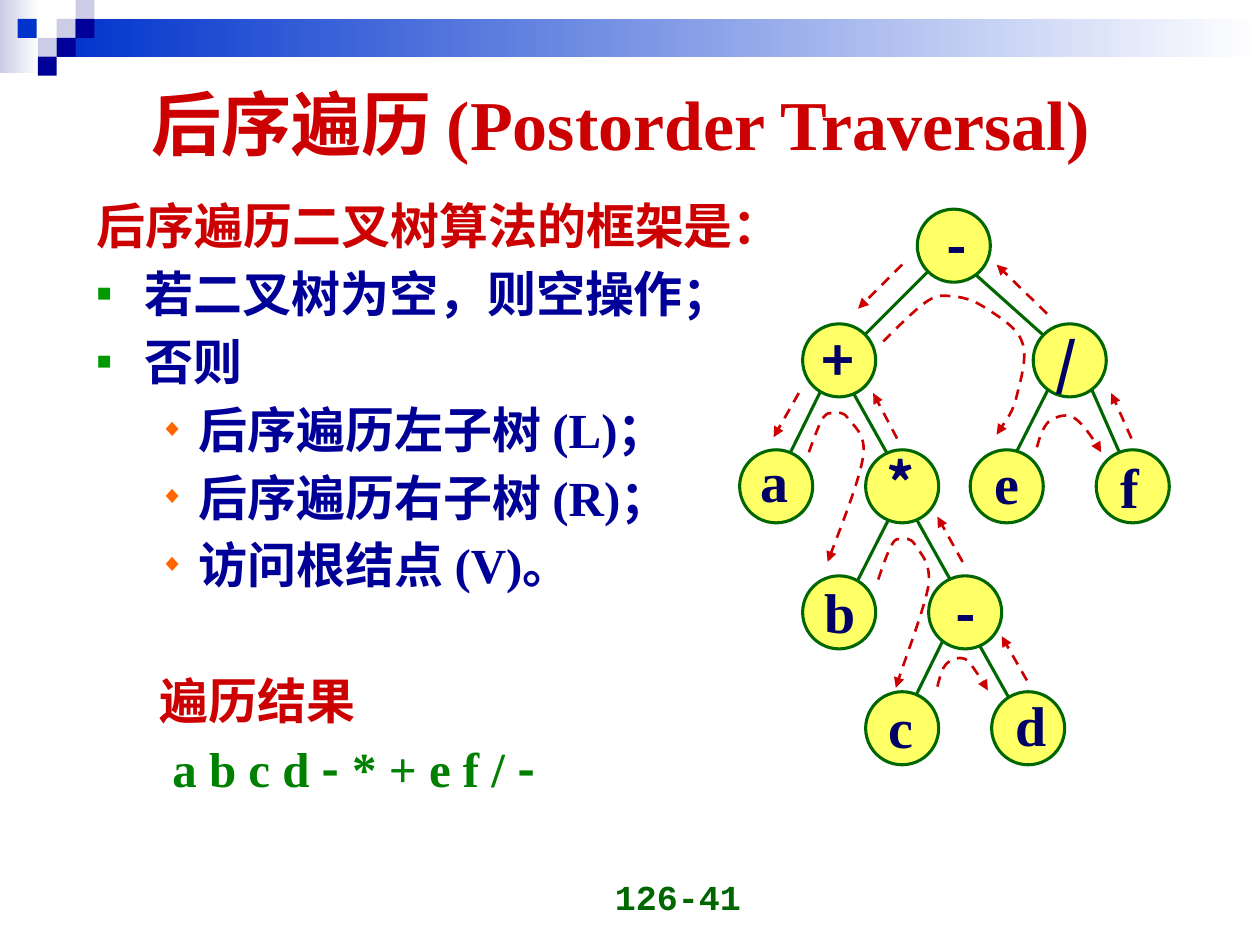
from typing import NamedTuple

from lxml import etree
from pptx import Presentation
from pptx import util as u
from pptx.dml.color import RGBColor
from pptx.enum import dml, shapes, text
from pptx.oxml.ns import qn

PX = u.Inches(1) // 100  # 100 px to the inch

RED = RGBColor(0xCC, 0x00, 0x00)
NAVY = RGBColor(0x00, 0x00, 0x99)
INK = RGBColor(0x00, 0x00, 0x66)
BLUE = RGBColor(0x00, 0x33, 0xCC)
LILAC = RGBColor(0xCC, 0xCC, 0xE6)
WHITE = RGBColor(0xFF, 0xFF, 0xFF)
YELLOW = RGBColor(0xFF, 0xFF, 0x66)
DARK_GREEN = RGBColor(0x00, 0x66, 0x00)
GREEN = RGBColor(0x00, 0x80, 0x00)
SQUARE_GREEN = RGBColor(0x00, 0x99, 0x00)
ORANGE = RGBColor(0xFF, 0x66, 0x00)

ARIAL, TIMES, CJK = "Arial", "Times New Roman", "Noto Sans CJK SC"
NODE_SIZE = 58


class Node(NamedTuple):
    label: str
    left: int
    top: int
    label_left: int
    label_top: int
    label_width: int


class Line(NamedTuple):
    runs: list[tuple[str, str]]  # wording and font
    color: RGBColor
    margin: int = 38
    indent: int = -38
    bullet: tuple[str, RGBColor] | None = None
    before: float = 3.5


SQUARE, DIAMOND = ("■", SQUARE_GREEN), ("◆", ORANGE)

FRAMEWORK = [
    Line([("后序遍历二叉树算法的框架是：", ARIAL)], RED, before=0),
    Line([("若二叉树为空，则空操作；", ARIAL)], NAVY, bullet=SQUARE),
    Line([("否则", ARIAL)], NAVY, bullet=SQUARE),
    *[Line([(step, TIMES)], NAVY, 81, -31, DIAMOND)
      for step in ("后序遍历左子树 (L)；", "后序遍历右子树 (R)；", "访问根结点 (V)。")],
    Line([("遍历结果", TIMES)], RED, 81, -31, before=42.4),
    Line([("a b c d ", TIMES), ("-", CJK), (" * + e f / ", TIMES), ("-", CJK)],
         GREEN, 81, -21),
]

NODES = [
    Node("-", 728, 166, 736, 162, 47),
    Node("+", 637, 257, 642, 253, 47),
    Node("/", 820, 257, 823, 255, 47),
    Node("a", 587, 357, 594, 349, 42),
    Node("*", 687, 357, 694, 351, 42),
    Node("e", 770, 357, 779, 351, 40),
    Node("f", 870, 357, 879, 354, 35),
    Node("b", 637, 457, 644, 453, 45),
    Node("-", 737, 457, 743, 454, 47),
    Node("c", 687, 549, 695, 544, 40),
    Node("d", 787, 549, 796, 543, 45),
]

EDGES = [
    (745, 207, 678, 274), (762, 207, 837, 274),
    (653, 307, 620, 374), (670, 299, 712, 374),
    (837, 299, 803, 366), (862, 299, 895, 374),
    (712, 399, 678, 466), (720, 399, 762, 474),
    (753, 499, 720, 566), (770, 499, 812, 574),
]

STEPS = [
    (716, 210, 681, 245), (634, 312, 614, 347), (898, 348, 882, 312),
    (831, 249, 791, 210), (815, 540, 795, 505), (764, 446, 744, 410),
    (712, 348, 693, 312),
]

# Bezier paths: a start, then two control points and an end for each piece
TURNS = [
    [(642, 359), (646, 348), (650, 337), (653, 332), (657, 327), (658, 328), (661, 328),
     (665, 328), (669, 326), (673, 332), (677, 338), (688, 344), (685, 363),
     (682, 382), (662, 432), (657, 446)],
    [(697, 460), (701, 448), (705, 437), (708, 432), (711, 427), (712, 428), (715, 428),
     (718, 428), (722, 426), (726, 432), (729, 438), (739, 445), (737, 464),
     (734, 482), (715, 532), (711, 546)],
    [(744, 545), (746, 537), (748, 530), (751, 527), (755, 523), (761, 521), (766, 523),
     (770, 525), (777, 537), (780, 541), (783, 545), (783, 547), (784, 548)],
    [(823, 355), (825, 347), (828, 339), (832, 335), (837, 331), (845, 328), (851, 331),
     (857, 333), (866, 346), (869, 351), (873, 356), (873, 358), (874, 359)],
    [(701, 271), (714, 258), (727, 245), (736, 239), (745, 233), (749, 235), (756, 235),
     (763, 236), (770, 237), (780, 243), (789, 249), (807, 259), (811, 271),
     (816, 282), (810, 302), (807, 314), (804, 327), (794, 340), (791, 345)],
]


def put(target, **values) -> None:
    for key, value in values.items():
        setattr(target, key, value)


def add_run(paragraph, wording: str, font: str, size: float, color: RGBColor) -> None:
    run = paragraph.add_run()
    run.text = wording
    put(run.font, name=font, size=u.Pt(size), bold=True)
    run.font.color.rgb = color
    latin = run.font._element.find(qn("a:latin"))
    east_asian = etree.Element(qn("a:ea"), typeface=CJK)
    latin.addnext(east_asian)


def add_box(slide, left: int, top: int, width: int, height: int, **frame_values):
    frame = slide.shapes.add_textbox(left * PX, top * PX, width * PX, height * PX).text_frame
    put(frame, **frame_values)
    return frame


def add_block(slide, left: int, top: int, width: int, height: int, *colors: RGBColor,
              kind=shapes.MSO_SHAPE.RECTANGLE):
    block = slide.shapes.add_shape(kind, left * PX, top * PX, width * PX, height * PX)
    block.shadow.inherit = False
    block.line.fill.background()
    if len(colors) == 1:
        block.fill.solid()
        block.fill.fore_color.rgb = colors[0]
    else:
        block.fill.gradient()
        block.fill.gradient_angle = 0
        for stop, color in zip(block.fill.gradient_stops, colors):
            stop.color.rgb = color
    return block


def draw_line(line, color: RGBColor, width: float) -> None:
    line.color.rgb = color
    line.width = u.Pt(width)


def make_arrow(shape) -> None:
    draw_line(shape.line, RED, 1.5)
    shape.line.dash_style = dml.MSO_LINE.DASH
    outline = shape._element.spPr.find(qn("a:ln"))
    etree.SubElement(outline, qn("a:tailEnd"), type="triangle")


def add_straight(slide, ends: tuple[int, int, int, int], arrow: bool) -> None:
    line = slide.shapes.add_connector(shapes.MSO_CONNECTOR.STRAIGHT, *[v * PX for v in ends])
    if arrow:
        make_arrow(line)
    else:
        draw_line(line.line, DARK_GREEN, 1.75)
    etree.SubElement(line._element.spPr, qn("a:effectLst"))


def add_turn(slide, points: list[tuple[int, int]]) -> None:
    builder = slide.shapes.build_freeform(*points[0], scale=PX)
    builder.add_line_segments(points[1:], close=False)
    turn = builder.convert_to_shape()
    turn.shadow.inherit = False
    turn.fill.background()
    make_arrow(turn)
    # Join each three segments into one cubic curve
    path = next(turn._element.iter(qn("a:path")))
    segments = path.findall(qn("a:lnTo"))
    for start in range(0, len(segments), 3):
        curve = etree.SubElement(path, qn("a:cubicBezTo"))
        for segment in segments[start:start + 3]:
            curve.append(segment[0])
            path.remove(segment)


def add_line_of_text(paragraph, line: Line) -> None:
    properties = paragraph._p.get_or_add_pPr()
    properties.set("marL", str(line.margin * PX))
    properties.set("indent", str(line.indent * PX))
    if line.bullet:
        mark, color = line.bullet
        tint = etree.SubElement(properties, qn("a:buClr"))
        etree.SubElement(tint, qn("a:srgbClr"), val=str(color))
        etree.SubElement(properties, qn("a:buSzPct"), val="50000")
        etree.SubElement(properties, qn("a:buFont"), typeface=ARIAL)
        etree.SubElement(properties, qn("a:buChar"), char=mark)
    put(paragraph, line_spacing=1.05, space_before=u.Pt(line.before))
    for wording, font in line.runs:
        add_run(paragraph, wording, font, 28, line.color)


def main() -> None:
    deck = Presentation()
    put(deck, slide_width=1000 * PX, slide_height=750 * PX)
    slide = deck.slides.add_slide(deck.slide_layouts[5])

    # Header band and checker squares
    add_block(slide, 0, 0, 31, 58, LILAC, WHITE)
    add_block(slide, 45, 15, 955, 30, BLUE, WHITE)
    for left, top, color in [(45, 15, LILAC), (60, 0, LILAC), (60, 15, NAVY), (30, 30, LILAC),
                             (14, 15, BLUE), (45, 30, NAVY), (30, 45, NAVY)]:
        add_block(slide, left, top, 15, 15, color)

    # Title
    title = slide.shapes.title
    put(title, left=87 * PX, top=40 * PX, width=811 * PX, height=114 * PX)
    put(title.text_frame, vertical_anchor=text.MSO_ANCHOR.MIDDLE, word_wrap=True)
    heading = title.text_frame.paragraphs[0]
    heading.alignment = text.PP_ALIGN.CENTER
    add_run(heading, "后序遍历 (Postorder Traversal)", TIMES, 40, RED)

    # Algorithm framework and result
    body = add_box(slide, 67, 148, 617, 550, word_wrap=True)
    for index, line in enumerate(FRAMEWORK):
        add_line_of_text(body.add_paragraph() if index else body.paragraphs[0], line)

    # Page number
    footer = add_box(slide, 365, 683, 233, 50, word_wrap=True,
                     vertical_anchor=text.MSO_ANCHOR.BOTTOM)
    footer.paragraphs[0].alignment = text.PP_ALIGN.RIGHT
    add_run(footer.paragraphs[0], "126-41", "Courier New", 20, DARK_GREEN)

    # Expression tree
    for edge in EDGES:
        add_straight(slide, edge, arrow=False)
    for node in NODES:
        circle = add_block(slide, node.left, node.top, NODE_SIZE, NODE_SIZE, YELLOW,
                           kind=shapes.MSO_SHAPE.OVAL)
        draw_line(circle.line, DARK_GREEN, 1.75)
        label = add_box(slide, node.label_left, node.label_top, node.label_width, 64,
                        word_wrap=False, vertical_anchor=text.MSO_ANCHOR.MIDDLE,
                        auto_size=text.MSO_AUTO_SIZE.SHAPE_TO_FIT_TEXT)
        label.paragraphs[0].alignment = text.PP_ALIGN.CENTER
        add_run(label.paragraphs[0], node.label, TIMES if node.label.isalpha() else CJK, 32, INK)

    # Traversal route
    for step in STEPS:
        add_straight(slide, step, arrow=True)
    for turn in TURNS:
        add_turn(slide, turn)

    deck.save("out.pptx")


if __name__ == "__main__":
    main()
